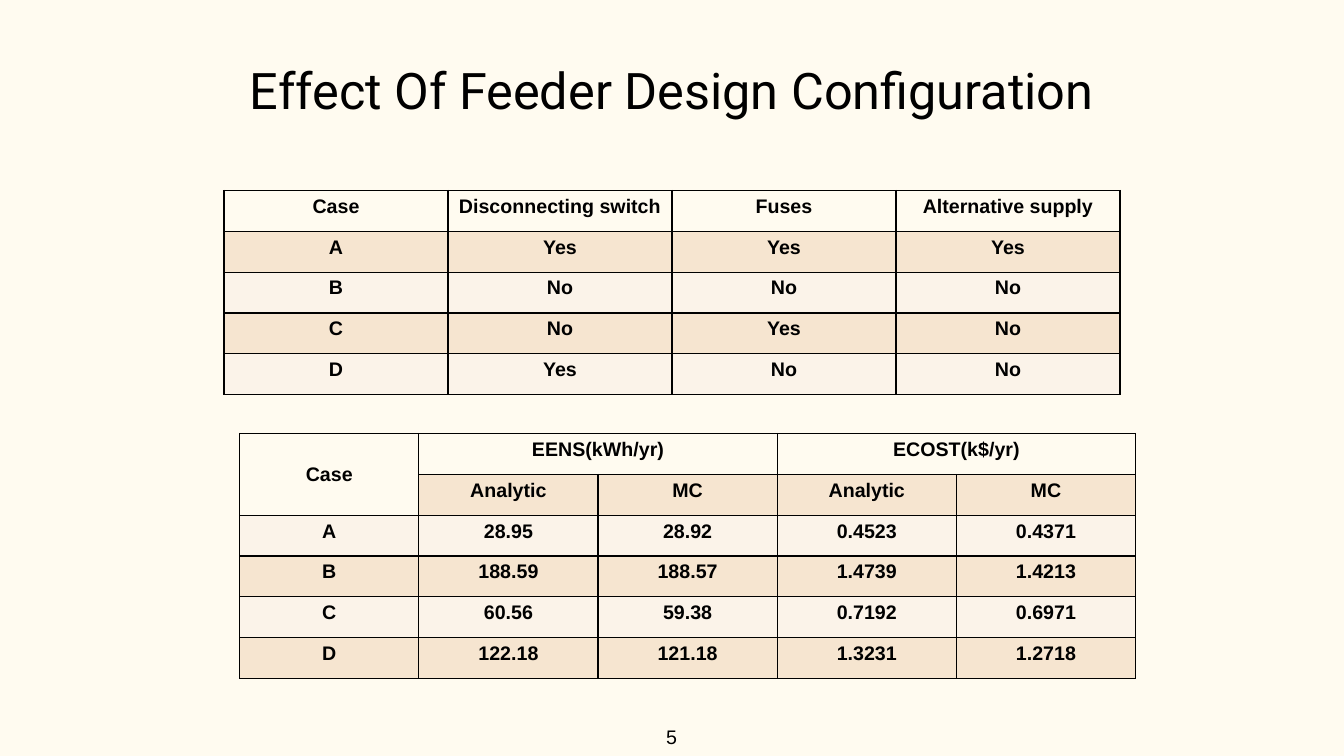
from lxml import etree
from pptx import Presentation
from pptx import util as u
from pptx.dml.color import RGBColor
from pptx.enum import text
from pptx.oxml.ns import qn

COLORS = {
    "ink": "000000",
    "paper": "FFFBF0",
    "band_dark": "F6E5D0",
    "band_light": "FBF3E9",
}
GRID_COLUMNS, GRID_ROWS = 12, 18.5
TABLE_COLUMNS = 8


class SlideBuilder:
    """Draws styled elements on one slide, placed in grid columns and rows."""

    def __init__(self, deck):
        self.column = deck.slide_width / GRID_COLUMNS
        self.row = deck.slide_height / GRID_ROWS
        self.slide = deck.slides.add_slide(deck.slide_layouts[5])
        self.paint(self.slide.background.fill, "paper")

    def frame(self, left, top, width, height):
        return (u.Emu(round(left * self.column)), u.Emu(round(top * self.row)),
                u.Emu(round(width * self.column)), u.Emu(round(height * self.row)))

    def paint(self, fill, color):
        fill.solid()
        fill.fore_color.rgb = RGBColor.from_string(COLORS[color])

    def set_text(self, frame, words, size=14, font="Arial", bold=False,
                 align=text.PP_ALIGN.CENTER):
        frame.text = words
        para = frame.paragraphs[0]
        para.alignment = align
        for span in para.runs:
            span.font.name = font
            span.font.size = u.Pt(size)
            span.font.bold = bold
            span.font.color.rgb = RGBColor.from_string(COLORS["ink"])
        return para

    def title(self, words, top, width, height):
        box = self.slide.shapes.title
        left = (GRID_COLUMNS - width) / 2
        box.left, box.top, box.width, box.height = self.frame(left, top, width, height)
        box.text_frame.auto_size = text.MSO_AUTO_SIZE.NONE
        box.text_frame.vertical_anchor = text.MSO_ANCHOR.MIDDLE
        self.set_text(box.text_frame, words, size=36, font="Roboto").line_spacing = 0.9

    def page_number(self, words, left, top, width, height):
        box = self.slide.shapes.add_textbox(*self.frame(left, top, width, height))
        box.text_frame.word_wrap = False
        box.text_frame.auto_size = text.MSO_AUTO_SIZE.SHAPE_TO_FIT_TEXT
        self.set_text(box.text_frame, words, align=text.PP_ALIGN.LEFT)

    def border(self, cell):
        properties = cell._tc.get_or_add_tcPr()
        for side in ("lnL", "lnR", "lnT", "lnB"):
            line = etree.SubElement(properties, qn(f"a:{side}"), w=str(int(u.Pt(1))))
            fill = etree.SubElement(line, qn("a:solidFill"))
            etree.SubElement(fill, qn("a:srgbClr"), val=COLORS["ink"])

    def table(self, rows, fills, left, top, merges=()):
        """Fill a table; each merge is (row, column, last row, last column)."""
        place = self.frame(left, top, TABLE_COLUMNS, len(rows))
        table = self.slide.shapes.add_table(len(rows), len(rows[0]), *place).table
        table.first_row = table.horz_banding = False
        for first_row, first_column, last_row, last_column in merges:
            table.cell(first_row, first_column).merge(table.cell(last_row, last_column))
        for r, (words, fill) in enumerate(zip(rows, fills)):
            for c, word in enumerate(words):
                cell = table.cell(r, c)
                self.border(cell)
                self.paint(cell.fill, fill)
                if word:
                    self.set_text(cell.text_frame, word, bold=True)
                if cell.is_merge_origin and cell.span_height > 1:
                    cell.vertical_anchor = text.MSO_ANCHOR.MIDDLE


def main():
    deck = Presentation()
    deck.slide_width, deck.slide_height = u.Inches(13.33), u.Inches(7.5)
    page = SlideBuilder(deck)

    # Heading and page number
    page.title("Effect Of Feeder Design Configuration", top=0.52, width=9.75, height=3.5)
    page.page_number("5", left=5.86, top=17.61, width=0.28, height=0.84)

    # Equipment fitted in each case
    bands = ["band_dark", "band_light"] * 2
    page.table([
        ["Case", "Disconnecting switch", "Fuses", "Alternative supply"],
        ["A", "Yes", "Yes", "Yes"],
        ["B", "No", "No", "No"],
        ["C", "No", "Yes", "No"],
        ["D", "Yes", "No", "No"],
    ], ["paper"] + bands, left=2, top=4.66)

    # Reliability results under a two-level header
    page.table([
        ["Case", "EENS(kWh/yr)", "", "ECOST(k$/yr)", ""],
        ["", "Analytic", "MC", "Analytic", "MC"],
        ["A", "28.95", "28.92", "0.4523", "0.4371"],
        ["B", "188.59", "188.57", "1.4739", "1.4213"],
        ["C", "60.56", "59.38", "0.7192", "0.6971"],
        ["D", "122.18", "121.18", "1.3231", "1.2718"],
    ], ["paper"] + bands + ["band_dark"], left=2.14, top=10.61,
        merges=[(0, 0, 1, 0), (0, 1, 0, 2), (0, 3, 0, 4)])

    deck.save("out.pptx")


if __name__ == "__main__":
    main()
